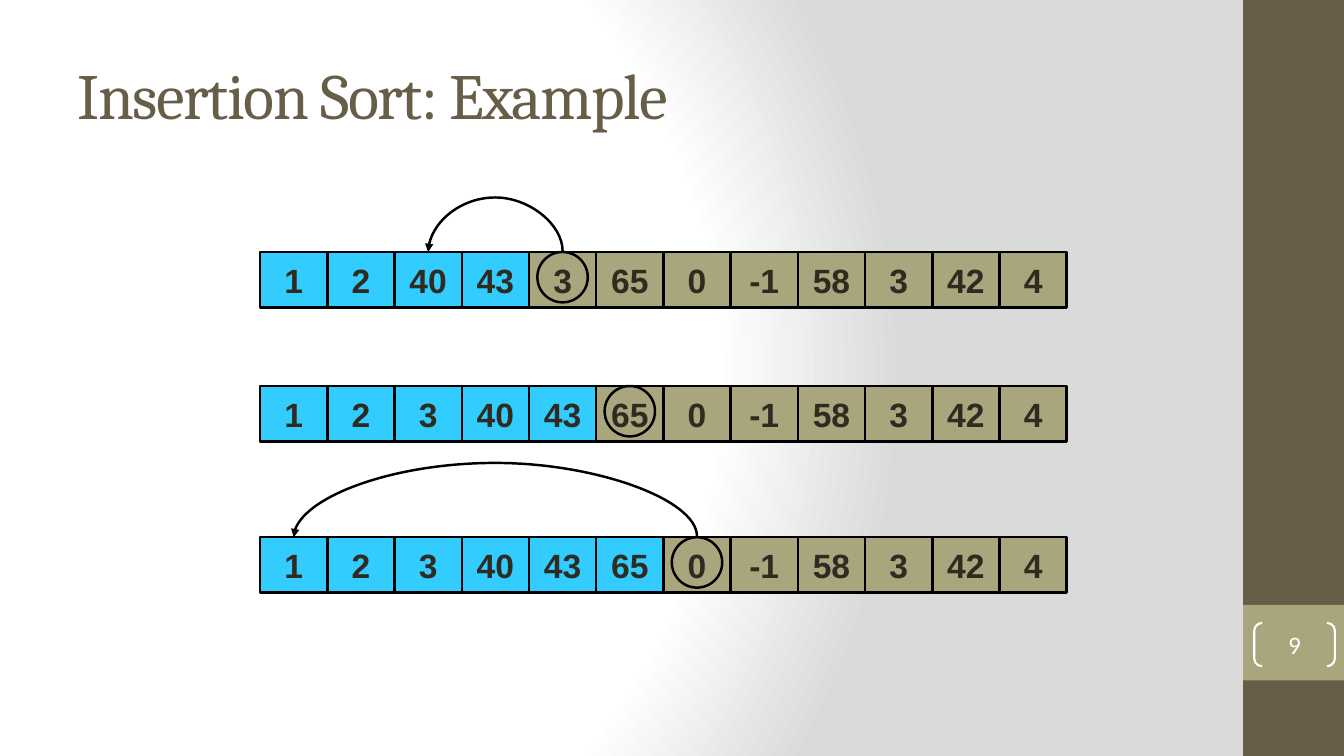
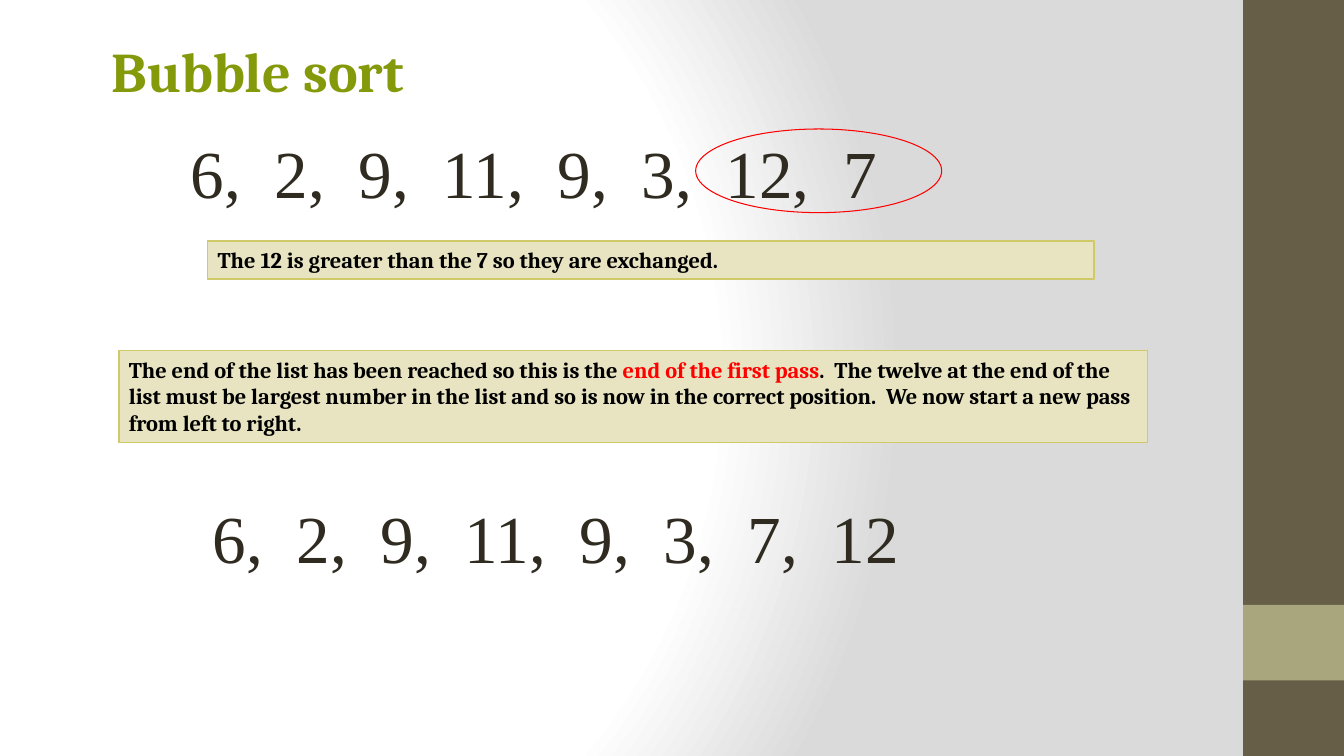
"""Build two slides on insertion sort and bubble sort."""
from lxml import etree
from pptx import Presentation, oxml
from pptx.dml.color import RGBColor
from pptx.enum import shapes, text
from pptx.oxml.ns import nsdecls, qn
from pptx.util import Inches, Pt

COLORS = {
    "olive": "675E47", "khaki": "A9A57C", "sorted": "33CCFF", "ink": "2F2B20",
    "black": "000000", "white": "FFFFFF", "gray": "DADADA", "red": "FF0000",
    "note": "E8E4C1", "note_line": "D0C967", "lime": "849A0A",
}
BANDS = [(0, 7.5, "olive"), (6, 0.75, "khaki")]

INSERTION_ROWS = [
    {"top": 2.5, "values": "1 2 40 43 3 65 0 -1 58 3 42 4", "sorted": 4,
     "target": 2, "lift": 0.54},
    {"top": 3.83, "values": "1 2 3 40 43 65 0 -1 58 3 42 4", "sorted": 5},
    {"top": 5.33, "values": "1 2 3 40 43 65 0 -1 58 3 42 4", "sorted": 6,
     "target": 0, "lift": 0.74},
]
ROW_LEFT, CELL_W, CELL_H, RING = Inches(2.58), Inches(8) // 12, Inches(0.55), Inches(0.5)

NUMBERS = [
    ((1.79, 1.25, 9.78, 0.9), "6,  2,  9,  11,  9,  3,  12,  7"),
    ((2.01, 4.87, 9.78, 0.9), "6,  2,  9,  11,  9,  3,  7,  12"),
]
NOTES = [
    ((2.06, 2.39, 8.79, 0.38),
     [("The 12 is greater than the 7 so they are exchanged.", "black")]),
    ((1.18, 3.48, 10.2, 0.91),
     [("The end of the list has been reached so this is the ", "black"),
      ("end of the first pass", "red"),
      (".  The twelve at the end of the list must be largest number in the list and so is "
       "now in the correct position.  We now start a new pass from left to right.", "black")]),
]

TITLE = {"size": Pt(46), "name": "Cambria"}
HEADING = {"size": Pt(40), "name": "Cambria", "bold": True}
CELL = {"size": Pt(24), "name": "Arial", "bold": True}
NUMBER = {"size": Pt(48), "name": "Times New Roman"}
NOTE = {"size": Pt(16), "name": "Cambria", "bold": True}
PAGE = {"size": Pt(18), "name": "Calibri"}

MIDDLE = {"vertical_anchor": text.MSO_ANCHOR.MIDDLE}
NO_INSETS = dict.fromkeys(("margin_left", "margin_top", "margin_right", "margin_bottom"), 0)
GROW = {"auto_size": text.MSO_AUTO_SIZE.SHAPE_TO_FIT_TEXT}

BACKGROUND = f"""<p:bg {nsdecls('p', 'a')}><p:bgPr><a:gradFill rotWithShape="1"><a:gsLst>
<a:gs pos="0"><a:srgbClr val="{COLORS['white']}"/></a:gs>
<a:gs pos="75000"><a:srgbClr val="{COLORS['white']}"/></a:gs>
<a:gs pos="100000"><a:srgbClr val="{COLORS['gray']}"/></a:gs></a:gsLst>
<a:path path="circle"><a:fillToRect l="20000" t="50000" r="100000" b="50000"/></a:path>
</a:gradFill><a:effectLst/></p:bgPr></p:bg>"""


def rgb(name):
    return RGBColor.from_string(COLORS[name])


def inches(box):
    return [Inches(v) for v in box]


def apply(target, values):
    for key, value in values.items():
        setattr(target, key, value)


def add_shape(s, kind, box, fill=None, line=None, width=1.75):
    sp = s.shapes.add_shape(kind, *box)
    sp.shadow.inherit = False
    if fill:
        sp.fill.solid()
        sp.fill.fore_color.rgb = rgb(fill)
    else:
        sp.fill.background()
    if line:
        sp.line.color.rgb = rgb(line)
        sp.line.width = Pt(width)
    else:
        sp.line.fill.background()
    return sp


def write(sp, runs, font, frame, align=text.PP_ALIGN.LEFT, wrap=True):
    tf = sp.text_frame
    tf.word_wrap = wrap
    apply(tf, frame)
    p = tf.paragraphs[0]
    p.alignment = align
    for words, color in runs:
        r = p.add_run()
        r.text = words
        apply(r.font, font)
        r.font.color.rgb = rgb(color)
    return p


def add_text(s, box, runs, font, frame):
    return write(s.shapes.add_textbox(*inches(box)), runs, font, frame)


def space_before_half(p):
    spacing = etree.SubElement(p._p.get_or_add_pPr(), qn("a:spcBef"))
    etree.SubElement(spacing, qn("a:spcPct")).set("val", "50000")


def add_slide(prs):
    s = prs.slides.add_slide(prs.slide_layouts[6])
    s.element.find(qn("p:cSld")).insert(0, oxml.parse_xml(BACKGROUND))
    for top, height, fill in BANDS:
        add_shape(s, shapes.MSO_SHAPE.RECTANGLE, inches((12.33, top, 1, height)), fill)
    return s


def add_jump(s, ring, cell, lift):
    c = s.shapes.add_connector(shapes.MSO_CONNECTOR.CURVE, 0, 0, 0, 0)
    c.line.color.rgb = rgb("black")
    c.line.width = Pt(1.75)
    c.begin_connect(ring, 0)
    c.end_connect(cell, 0)
    start, end = ring.left + ring.width // 2, cell.left + cell.width // 2
    thin, span = Inches(0.01), start - end
    apply(c, {"left": (start + end - thin) // 2, "top": ring.top - (span + thin) // 2,
              "width": thin, "height": span})
    spPr = c.element.spPr
    for key, value in {"rot": "16200000", "flipH": "1", "flipV": "1"}.items():
        spPr.find(qn("a:xfrm")).set(key, value)
    bend = round(-Inches(lift) / thin * 100000)
    guides = spPr.find(qn("a:prstGeom")).get_or_add_avLst()
    etree.SubElement(guides, qn("a:gd"), name="adj1", fmla=f"val {bend}")
    etree.SubElement(spPr.find(qn("a:ln")), qn("a:tailEnd"), type="triangle")
    etree.SubElement(spPr, qn("a:effectLst"))


def add_row(s, row):
    top, cells = Inches(row["top"]), []
    for i, value in enumerate(row["values"].split()):
        fill = "sorted" if i < row["sorted"] else "khaki"
        box = (ROW_LEFT + i * CELL_W, top, CELL_W, CELL_H)
        sp = add_shape(s, shapes.MSO_SHAPE.RECTANGLE, box, fill, "black")
        write(sp, [(value, "ink")], CELL, MIDDLE, text.PP_ALIGN.CENTER, False)
        cells.append(sp)
    left = cells[row["sorted"]].left + (CELL_W - RING) // 2
    ring = add_shape(s, shapes.MSO_SHAPE.OVAL, (left, top, RING, RING), line="black")
    if "target" in row:
        add_jump(s, ring, cells[row["target"]], row["lift"])


def insertion_slide(prs):
    s = add_slide(prs)
    p = add_text(s, (0.67, 0.3, 11.11, 1.25), [("Insertion Sort: Example", "olive")],
                 TITLE, MIDDLE)
    p.runs[0].font._element.set("spc", "-100")
    for row in INSERTION_ROWS:
        add_row(s, row)
    sp = add_shape(s, shapes.MSO_SHAPE.DOUBLE_BRACKET, inches((12.44, 6.18, 0.8, 0.43)),
                   line="white", width=1.5)
    sp.adjustments[0] = 0.18
    write(sp, [("9", "white")], PAGE, MIDDLE | NO_INSETS, text.PP_ALIGN.CENTER)


def bubble_slide(prs):
    s = add_slide(prs)
    p = add_text(s, (1.11, 0.25, 11.24, 0.96), [("Bubble sort", "lime")],
                 HEADING, MIDDLE | NO_INSETS)
    p.line_spacing = 0.93
    for box, numbers in NUMBERS:
        space_before_half(add_text(s, box, [(numbers, "ink")], NUMBER, GROW))
    add_shape(s, shapes.MSO_SHAPE.OVAL, inches((6.9, 1.28, 2.44, 0.83)), line="red", width=0.75)
    for box, runs in NOTES:
        sp = add_shape(s, shapes.MSO_SHAPE.RECTANGLE, inches(box), "note", "note_line", 1)
        top = {"vertical_anchor": text.MSO_ANCHOR.TOP}
        space_before_half(write(sp, runs, NOTE, GROW | top))


def main():
    prs = Presentation()
    prs.slide_width, prs.slide_height = Inches(13.33), Inches(7.5)
    insertion_slide(prs)
    bubble_slide(prs)
    prs.save("out.pptx")


if __name__ == "__main__":
    main()
